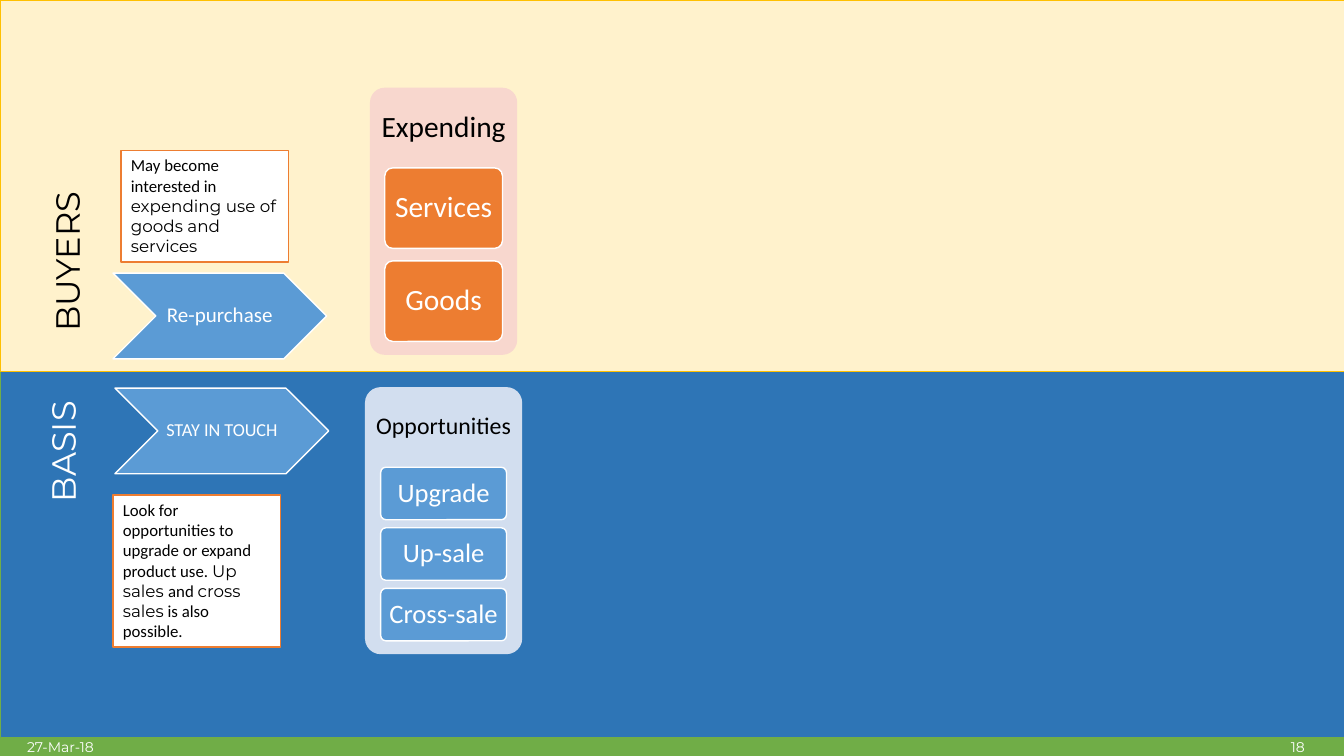
from dataclasses import dataclass

from pptx import Presentation
from pptx import util as u
from pptx.dml.color import RGBColor
from pptx.enum import shapes, text


@dataclass(frozen=True)
class Theme:
    body: str = "Calibri"
    display: str = "Montserrat"
    white: str = "FFFFFF"
    black: str = "000000"
    cream: str = "FFF2CC"
    gold: str = "FFC000"
    navy: str = "2E75B6"
    green: str = "70AD47"
    blue: str = "5B9BD5"
    pale_blue: str = "D2DEEF"
    orange: str = "ED7D31"
    pale_orange: str = "F8D7CE"
    heading: int = 24
    note: int = 12
    footer: int = 10


THEME = Theme()
KIND = shapes.MSO_SHAPE
ALIGN = text.PP_ALIGN
ANCHOR = text.MSO_ANCHOR
WIDTH, HEIGHT = 13.33, 7.5
BAND_SPLIT = 3.68


def lengths(box):
    return [u.Inches(value) for value in box]


def write(shape, spans, size, color, align=ALIGN.LEFT, anchor=ANCHOR.TOP,
          wrap=True, insets=(0.1, 0.05, 0.1, 0.05), spacing=1.0):
    """Fill a shape with one paragraph of (words, font) spans."""
    frame = shape.text_frame
    left, top, right, bottom = lengths(insets)
    settings = {"word_wrap": wrap, "vertical_anchor": anchor,
                "margin_left": left, "margin_top": top,
                "margin_right": right, "margin_bottom": bottom}
    for name, value in settings.items():
        setattr(frame, name, value)
    para = frame.paragraphs[0]
    para.alignment, para.line_spacing = align, spacing
    for words, font in spans:
        span = para.add_run()
        span.text = words
        for name, value in {"name": font, "size": u.Pt(size)}.items():
            setattr(span.font, name, value)
        span.font.color.rgb = RGBColor.from_string(color)


def add_block(page, kind, box, fill, line=None, weight=1.0):
    shape = page.shapes.add_shape(kind, *lengths(box))
    shape.shadow.inherit = False
    shape.fill.solid()
    shape.fill.fore_color.rgb = RGBColor.from_string(fill)
    if line:
        shape.line.color.rgb = RGBColor.from_string(line)
        shape.line.width = u.Pt(weight)
    else:
        shape.line.fill.background()
    if kind == KIND.ROUNDED_RECTANGLE:
        shape.adjustments[0] = 0.1
    return shape


def add_label(shape, words, size, color):
    write(shape, [(words, THEME.body)], size, color, ALIGN.CENTER,
          ANCHOR.MIDDLE, wrap=False, insets=(0.04,) * 4, spacing=0.9)


def add_band_title(page, box, words, color):
    title = page.shapes.add_textbox(*lengths(box))
    title.rotation = 270
    write(title, [(words, THEME.display)], THEME.heading, color, wrap=False)


def add_arrow(page, box, words, size):
    arrow = add_block(page, KIND.CHEVRON, box, THEME.blue, THEME.white)
    add_label(arrow, words, size, THEME.white)


def add_note(page, box, spans):
    note = add_block(page, KIND.RECTANGLE, box, THEME.white, THEME.orange)
    write(note, spans, THEME.note, THEME.black)


def add_panel(page, box, title, title_size, items, item_size, back, front):
    """Rounded panel: title in the top 30 %, items stacked over the next 65 %."""
    left, top, width, height = box
    add_block(page, KIND.ROUNDED_RECTANGLE, box, back)
    heading = page.shapes.add_textbox(*lengths((left, top, width, height * 0.3)))
    add_label(heading, title, title_size, THEME.black)
    gap_share = 0.154
    item_height = height * 0.65 / (len(items) + gap_share * (len(items) - 1))
    for index, words in enumerate(items):
        item_top = top + height * 0.3 + index * item_height * (1 + gap_share)
        item = add_block(page, KIND.ROUNDED_RECTANGLE,
                         (left + width * 0.1, item_top, width * 0.8, item_height),
                         front, THEME.white)
        add_label(item, words, item_size, THEME.white)


def add_footer(page, box):
    left, top, width, height = box
    add_block(page, KIND.RECTANGLE, box, THEME.green)
    for words, start, span_width, align in (
            ("27-Mar-18", 0.17, 3, ALIGN.LEFT), ("18", 9.42, 3.62, ALIGN.RIGHT)):
        label = page.shapes.add_textbox(*lengths((left + start, top, span_width, height)))
        write(label, [(words, THEME.display)], THEME.footer, THEME.white,
              align, ANCHOR.MIDDLE)


def add_basis(page, box):
    left, top, width, height = box
    add_block(page, KIND.RECTANGLE, box, THEME.navy, THEME.green, 0.5)
    add_band_title(page, (left - 0.06, top + 0.47, 1.36, 0.5), "BASIS", THEME.white)
    add_arrow(page, (left + 1.14, top + 0.17, 2.12, 0.85), "STAY IN TOUCH", 13)
    add_note(page, (left + 1.12, top + 1.23, 1.66, 1.51), [
        ("Look for opportunities to upgrade or expand product use. ", THEME.body),
        ("Up sales ", THEME.display), ("and ", THEME.body),
        ("cross sales", THEME.display), (" is also possible.", THEME.body)])
    add_panel(page, (left + 3.62, top + 0.16, 1.56, 2.65), "Opportunities", 17,
              ("Upgrade", "Up-sale", "Cross-sale"), 19, THEME.pale_blue, THEME.blue)


def add_buyers(page, box):
    left, top, width, height = box
    add_block(page, KIND.RECTANGLE, box, THEME.cream, THEME.gold, 0.5)
    add_band_title(page, (left - 0.21, top + 2.27, 1.74, 0.5), "BUYERS", THEME.black)
    add_arrow(page, (left + 1.12, top + 2.71, 2.12, 0.85), "Re-purchase", 15)
    add_note(page, (left + 1.2, top + 1.49, 1.66, 1.11), [
        ("May become interested in ", THEME.body),
        ("expending use of goods and services", THEME.display)])
    add_panel(page, (left + 3.67, top + 0.87, 1.46, 2.65), "Expending", 21,
              ("Services", "Goods"), 21, THEME.pale_orange, THEME.orange)


def main():
    deck = Presentation()
    deck.slide_width, deck.slide_height = lengths((WIDTH, HEIGHT))
    page = deck.slides.add_slide(deck.slide_layouts[6])
    # Lower band, upper band, then the footer strip over the lower edge
    add_basis(page, (0, BAND_SPLIT, WIDTH, 3.64))
    add_buyers(page, (0, 0, WIDTH, BAND_SPLIT))
    add_footer(page, (0, 7.32, WIDTH, 0.18))
    deck.save("out.pptx")


if __name__ == "__main__":
    main()
